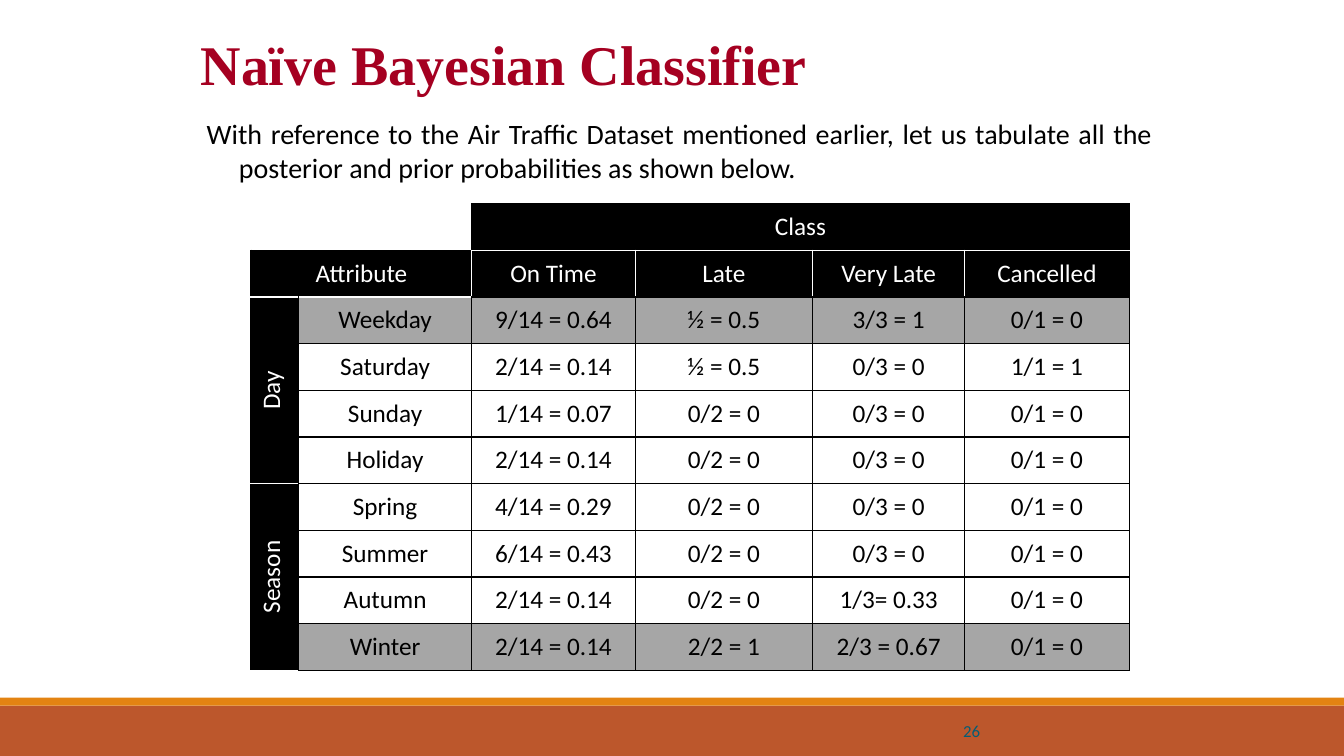
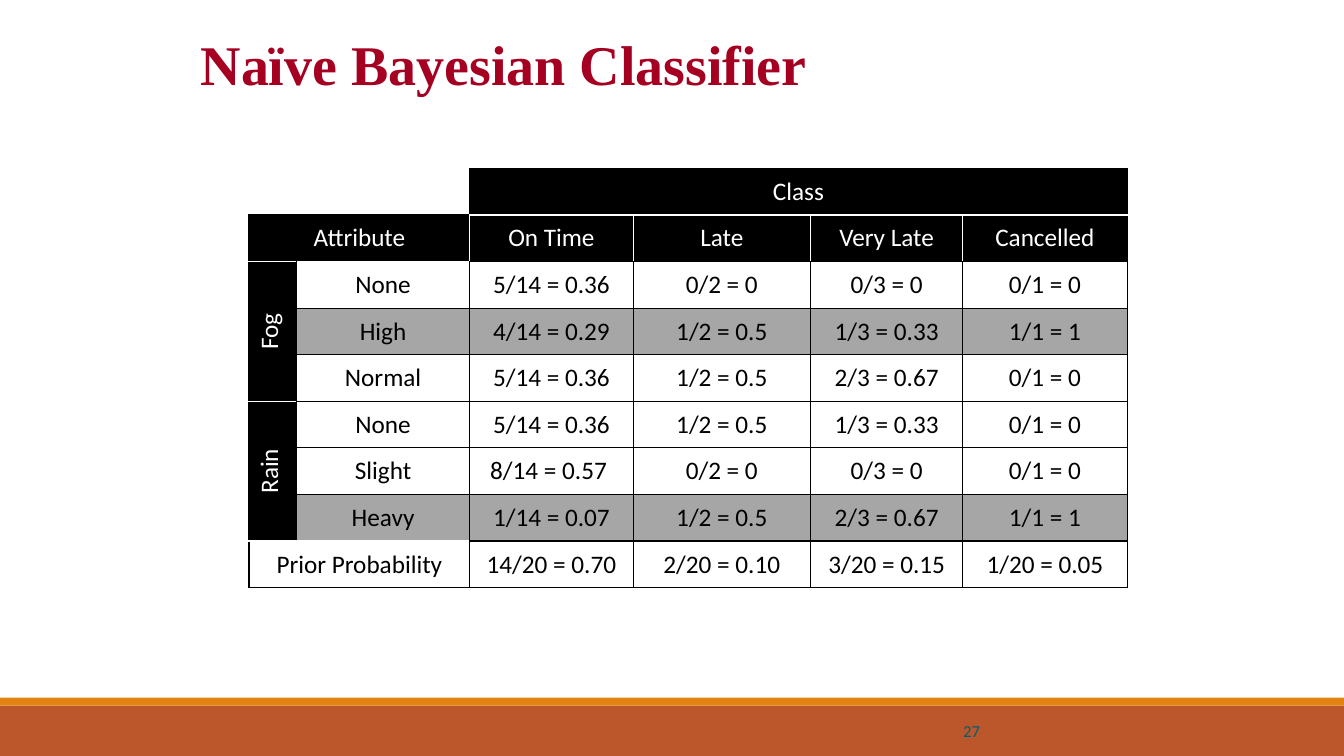
"""Build two slides that tabulate naïve Bayes probabilities."""
from dataclasses import dataclass
from typing import Any

from lxml.etree import SubElement as Sub
from pptx import Presentation as Deck
from pptx.dml.color import RGBColor as Rgb
from pptx.enum.shapes import MSO_SHAPE as Form
from pptx.enum.text import MSO_ANCHOR as Anchor
from pptx.enum.text import MSO_AUTO_SIZE as Fit
from pptx.enum.text import PP_ALIGN as Align
from pptx.oxml import parse_xml
from pptx.oxml.ns import qn
from pptx.util import Inches, Pt

Box = tuple[float, float, float, float]


@dataclass(frozen=True)
class Theme:
    black: str = "000000"
    white: str = "FFFFFF"
    gray: str = "A6A6A6"
    red: str = "A50021"
    teal: str = "045D75"
    rust: str = "BC572C"
    gold: str = "E38312"
    serif: str = "Times New Roman"
    sans: str = "Calibri"
    title: int = 40
    body: int = 20
    cell: int = 18
    note: int = 12


@dataclass(frozen=True)
class Band:
    box: Box
    fill: str


@dataclass(frozen=True)
class Look:
    fill: str | None
    ink: str
    pale: str = ""
    bare: str = ""


@dataclass(frozen=True)
class Row:
    name: str
    odds: tuple[str, ...]
    lit: bool = False


@dataclass(frozen=True)
class Group:
    name: str
    rows: tuple[Row, ...]


@dataclass(frozen=True)
class Page:
    number: int
    box: Box
    groups: tuple[Group, ...]
    intro: str = ""
    prior: tuple[str, ...] = ()


T = Theme()
TITLE = "Naïve Bayesian Classifier"
HEADS = ("On Time", "Late", "Very Late", "Cancelled")
WIDTHS = (0.47, 1.72, 1.62, 1.76, 1.51, 1.63)
BANDS = (Band((0, 7, 13.33, 0.5), T.rust), Band((0, 6.92, 13.33, 0.08), T.gold))
FRAME = {"margin_left": 0, "margin_top": 0, "margin_right": 0, "margin_bottom": 0,
         "word_wrap": True, "auto_size": Fit.NONE}
CORNER = Look(None, T.black, bare="LT")
CLASS = Look(T.black, T.white, pale="B")
LABEL = Look(T.black, T.white, pale="RB")
HEAD = Look(T.black, T.white, pale="LTR")
SIDE = Look(T.black, T.white, pale="TB")
PRIOR = Look(T.white, T.black, pale="T")

PAGES = (
    Page(26, (2.49, 2.02, 8.72, 4.63), (
        Group("Day", (
            Row("Weekday", ("9/14 = 0.64", "½ = 0.5", "3/3 = 1", "0/1 = 0"), True),
            Row("Saturday", ("2/14 = 0.14", "½ = 0.5", "0/3 = 0", "1/1 = 1")),
            Row("Sunday", ("1/14 = 0.07", "0/2 = 0", "0/3 = 0", "0/1 = 0")),
            Row("Holiday", ("2/14 = 0.14", "0/2 = 0", "0/3 = 0", "0/1 = 0")))),
        Group("Season", (
            Row("Spring", ("4/14 = 0.29", "0/2 = 0", "0/3 = 0", "0/1 = 0")),
            Row("Summer", ("6/14 = 0.43", "0/2 = 0", "0/3 = 0", "0/1 = 0")),
            Row("Autumn", ("2/14 = 0.14", "0/2 = 0", "1/3= 0.33", "0/1 = 0")),
            Row("Winter", ("2/14 = 0.14", "2/2 = 1", "2/3 = 0.67", "0/1 = 0"), True)))),
        intro="With reference to the Air Traffic Dataset mentioned earlier, let us tabulate "
              "all the posterior and prior probabilities as shown below."),
    Page(27, (2.47, 1.67, 8.72, 4.16), (
        Group("Fog", (
            Row("None", ("5/14 = 0.36", "0/2 = 0", "0/3 = 0", "0/1 = 0")),
            Row("High", ("4/14 = 0.29", "1/2 = 0.5", "1/3 = 0.33", "1/1 = 1"), True),
            Row("Normal", ("5/14 = 0.36", "1/2 = 0.5", "2/3 = 0.67", "0/1 = 0")))),
        Group("Rain", (
            Row("None", ("5/14 = 0.36", "1/2 = 0.5", "1/3 = 0.33", "0/1 = 0")),
            Row("Slight", ("8/14 = 0.57 ", "0/2 = 0", "0/3 = 0", "0/1 = 0")),
            Row("Heavy", ("1/14 = 0.07", "1/2 = 0.5", "2/3 = 0.67", "1/1 = 1"), True)))),
        prior=("14/20 = 0.70", "2/20 = 0.10", "3/20 = 0.15", "1/20 = 0.05")),
)


def apply(item: Any, style: dict[str, Any]) -> None:
    for key, val in style.items():
        setattr(item, key, val)


def place(shape: Any, box: Box) -> None:
    apply(shape, dict(zip(("left", "top", "width", "height"), map(Inches, box))))


def write(frame: Any, text: str, size: int, ink: str, align: Any,
          face: str = T.sans, bold: bool = False) -> Any:
    para = frame.paragraphs[0]
    apply(para, {"alignment": align, "space_before": Pt(0)})
    run = para.add_run()
    run.text = text
    apply(run.font, {"size": Pt(size), "name": face, "bold": bold})
    run.font.color.rgb = Rgb.from_string(ink)
    return para


def draw_bands(deck: Any, slide: Any) -> None:
    tree = deck.slide_master.element.cSld.spTree
    for num, band in enumerate(BANDS, 20):
        shape = slide.shapes.add_shape(Form.RECTANGLE, *map(Inches, band.box))
        shape.shadow.inherit = False
        shape.fill.solid()
        shape.fill.fore_color.rgb = Rgb.from_string(band.fill)
        shape.line.fill.background()
        shape.element.nvSpPr.cNvPr.set("id", str(num))
        tree.append(shape.element)


def edge(side: str, ink: str | None) -> Any:
    space = "http://schemas.openxmlformats.org/drawingml/2006/main"
    line = parse_xml(f'<a:ln{side} xmlns:a="{space}" w="12700"/>')
    if ink is None:
        Sub(line, qn("a:noFill"))
    else:
        Sub(Sub(line, qn("a:solidFill")), qn("a:srgbClr"), val=ink)
    return line


def paint(grid: Any, row: int, col: int, look: Look) -> None:
    cell = grid.cell(row, col)
    if look.fill is None:
        cell.fill.background()
    else:
        cell.fill.solid()
        cell.fill.fore_color.rgb = Rgb.from_string(look.fill)
    outer = {"L": col == 0, "R": col == len(grid.columns) - 1,
             "T": row == 0, "B": row == len(grid.rows) - 1}
    props = cell._tc.get_or_add_tcPr()
    for spot, side in enumerate("LRTB"):
        pale = side in look.pale and not outer[side]
        ink = None if side in look.bare else T.white if pale else T.black
        props.insert(spot, edge(side, ink))


def put(grid: Any, row: int, col: int, text: str, look: Look,
        down: int = 1, over: int = 1) -> None:
    for y in range(row, row + down):
        for x in range(col, col + over):
            paint(grid, y, x, look)
    cell = grid.cell(row, col)
    if down * over > 1:
        cell.merge(grid.cell(row + down - 1, col + over - 1))
    cell.vertical_anchor = Anchor.MIDDLE
    if down > 1:
        cell._tc.get_or_add_tcPr().set("vert", "vert270")
    if text:
        write(cell.text_frame, text, T.cell, look.ink, Align.CENTER)


def draw_grid(slide: Any, page: Page) -> None:
    count = 2 + sum(len(group.rows) for group in page.groups) + bool(page.prior)
    grid = slide.shapes.add_table(count, len(WIDTHS), *map(Inches, page.box)).table
    apply(grid, {"first_row": False, "horz_banding": False})
    for col, width in zip(grid.columns, WIDTHS):
        col.width = Inches(width)
    put(grid, 0, 0, "", CORNER, over=2)
    put(grid, 0, 2, "Class", CLASS, over=4)
    put(grid, 1, 0, "Attribute", LABEL, over=2)
    for col, head in enumerate(HEADS, 2):
        put(grid, 1, col, head, HEAD)
    at = 2
    for group in page.groups:
        put(grid, at, 0, group.name, SIDE, down=len(group.rows))
        for row in group.rows:
            fill = T.gray if row.lit else T.white
            for col, text in enumerate((row.name, *row.odds), 1):
                pale = "T" if (at, col) == (2, 1) else ""
                put(grid, at, col, text, Look(fill, T.black, pale))
            at += 1
    if page.prior:
        put(grid, at, 0, "Prior Probability", PRIOR, over=2)
        for col, text in enumerate(page.prior, 2):
            put(grid, at, col, text, Look(T.white, T.black))


def draw_text(slide: Any, page: Page) -> None:
    title = slide.shapes.title
    place(title, (1.99, 0.29, 9.21, 1.25))
    apply(title.text_frame, FRAME | {"vertical_anchor": Anchor.TOP})
    write(title.text_frame, TITLE, T.title, T.red, Align.LEFT, T.serif, True)
    if page.intro:
        body = slide.placeholders[1]
        place(body, (1.99, 1.16, 9.44, 5.17))
        apply(body.text_frame, FRAME | {"vertical_anchor": Anchor.TOP})
        para = write(body.text_frame, page.intro, T.body, T.black, Align.JUSTIFY)
        props = para._p.get_or_add_pPr()
        props.set("marL", str(Inches(0.38)))
        props.set("indent", str(Inches(-0.32)))
        Sub(props, qn("a:buNone"))
    note = slide.shapes.add_textbox(*map(Inches, (8.87, 6.95, 0.85, 0.4)))
    apply(note.text_frame, FRAME | {"vertical_anchor": Anchor.BOTTOM})
    write(note.text_frame, str(page.number), T.note, T.teal, Align.RIGHT)


def main() -> None:
    deck = Deck()
    apply(deck, {"slide_width": Inches(13.33), "slide_height": Inches(7.5)})
    for page in PAGES:
        slide = deck.slides.add_slide(deck.slide_layouts[1 if page.intro else 5])
        if page is PAGES[0]:
            draw_bands(deck, slide)
        draw_text(slide, page)
        draw_grid(slide, page)
    deck.save("out.pptx")


if __name__ == "__main__":
    main()
